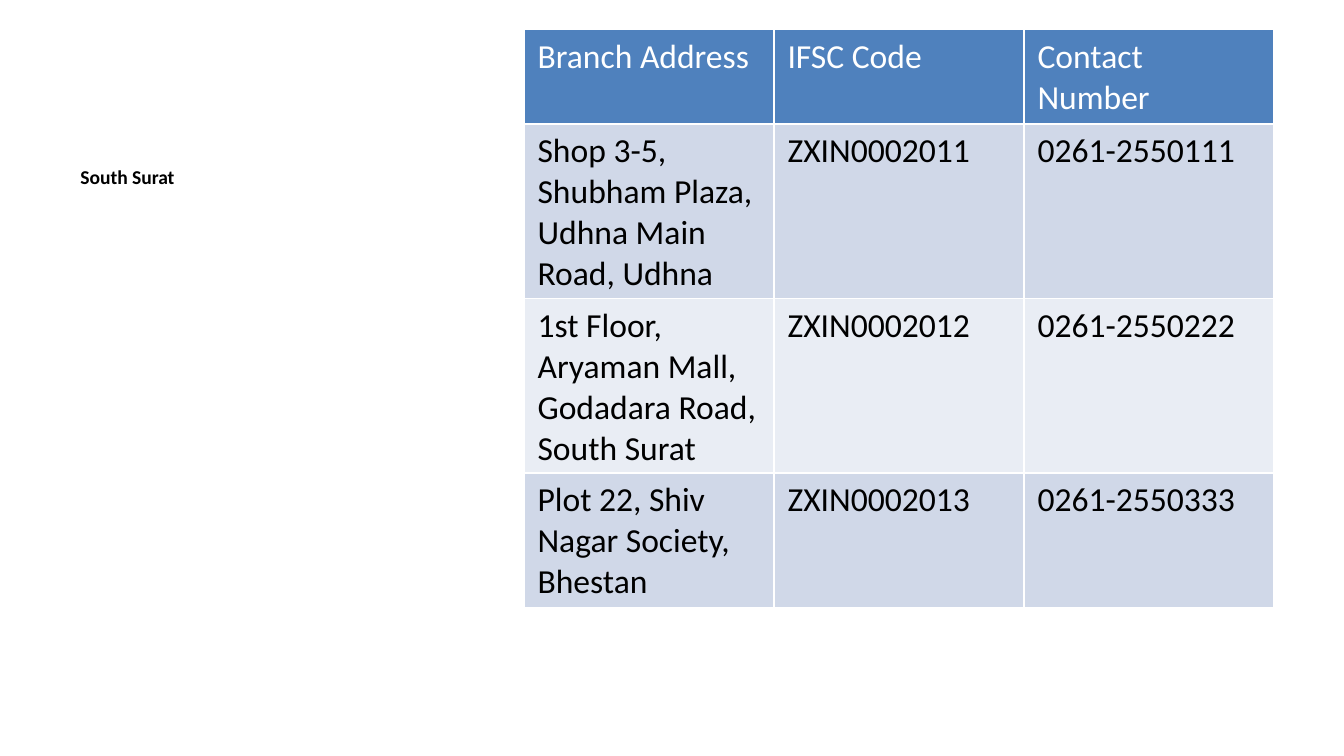
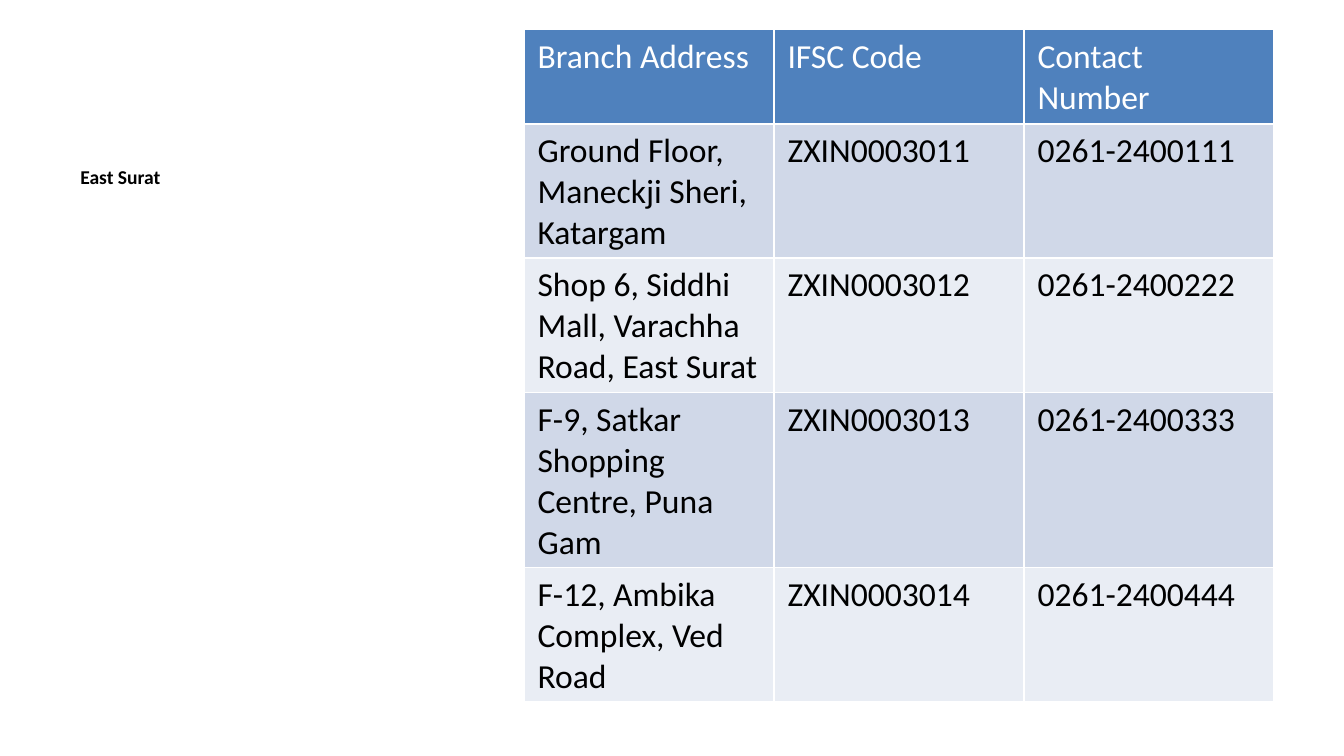
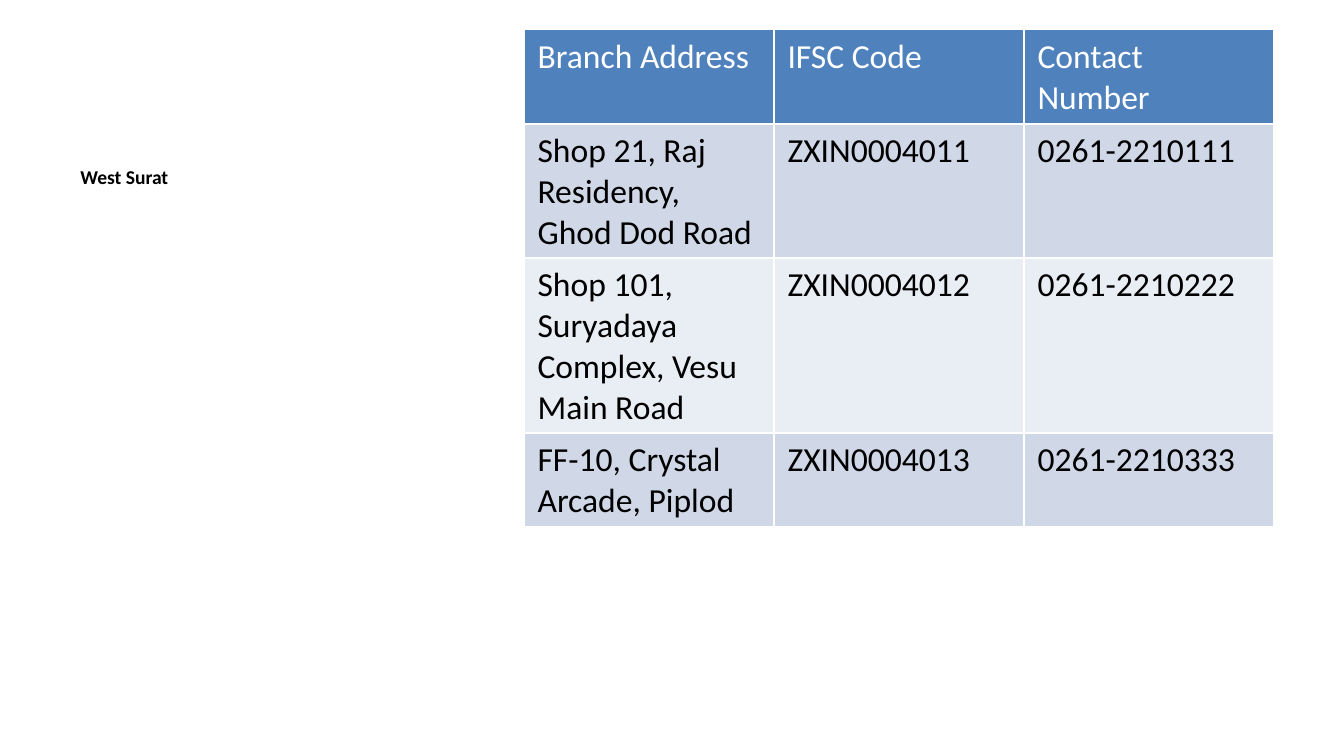
import pptx
import pptx.dml.color
import pptx.util

Inches = pptx.util.Inches

FONT = "Calibri"
WHITE = "FFFFFF"
BLACK = "000000"
HEADER_FILL = "4F81BD"
BAND_FILLS = ("D0D8E8", "E9EDF4")
HEADINGS = ("Branch Address", "IFSC Code", "Contact Number")

# Left, top, width, height in inches
REGION_BOX = (0.5, 1.18, 3.29, 3.85)
TABLE_BOX = (3.9, 0.22, 5.58, 4.79)

# Each region with its branches: address, code, phone
REGIONS = {
    "South Surat": [
        ("Shop 3-5, Shubham Plaza, Udhna Main Road, Udhna", "ZXIN0002011", "0261-2550111"),
        ("1st Floor, Aryaman Mall, Godadara Road, South Surat", "ZXIN0002012", "0261-2550222"),
        ("Plot 22, Shiv Nagar Society, Bhestan", "ZXIN0002013", "0261-2550333"),
    ],
    "East Surat": [
        ("Ground Floor, Maneckji Sheri, Katargam", "ZXIN0003011", "0261-2400111"),
        ("Shop 6, Siddhi Mall, Varachha Road, East Surat", "ZXIN0003012", "0261-2400222"),
        ("F-9, Satkar Shopping Centre, Puna Gam", "ZXIN0003013", "0261-2400333"),
        ("F-12, Ambika Complex, Ved Road", "ZXIN0003014", "0261-2400444"),
    ],
    "West Surat": [
        ("Shop 21, Raj Residency, Ghod Dod Road", "ZXIN0004011", "0261-2210111"),
        ("Shop 101, Suryadaya Complex, Vesu Main Road", "ZXIN0004012", "0261-2210222"),
        ("FF-10, Crystal Arcade, Piplod", "ZXIN0004013", "0261-2210333"),
    ],
}


def color(value):
    return pptx.dml.color.RGBColor.from_string(value)


def write_text(frame, text, size=18, ink=BLACK, bold=False):
    frame.word_wrap = True
    span = frame.paragraphs[0].add_run()
    span.text = text
    span.font.name = FONT
    span.font.size = pptx.util.Pt(size)
    span.font.bold = bold
    span.font.color.rgb = color(ink)


def add_region_label(page, region, box):
    label = page.shapes.add_textbox(*map(Inches, box))
    write_text(label.text_frame, region, size=10.5, bold=True)


def add_branch_table(page, branches, box):
    left, top, width, height = map(Inches, box)
    rows = [HEADINGS, *branches]
    # The default table style supplies the white rules between cells
    holder = page.shapes.add_table(len(rows), len(HEADINGS), left, top, width, height)
    table = holder.table

    for row_index, values in enumerate(rows):
        # Rows grow to fit their text
        table.rows[row_index].height = 0
        is_header = row_index == 0
        fill = HEADER_FILL if is_header else BAND_FILLS[(row_index - 1) % 2]
        for column_index, text in enumerate(values):
            cell = table.cell(row_index, column_index)
            cell.fill.solid()
            cell.fill.fore_color.rgb = color(fill)
            write_text(cell.text_frame, text, ink=WHITE if is_header else BLACK)
    holder.height = height


def add_region_page(deck, region, branches):
    page = deck.slides.add_slide(deck.slide_layouts[6])
    page.background.fill.solid()
    page.background.fill.fore_color.rgb = color(WHITE)
    add_region_label(page, region, REGION_BOX)
    add_branch_table(page, branches, TABLE_BOX)


def main():
    deck = pptx.Presentation()
    # Widescreen, 16 by 9
    deck.slide_width = Inches(10)
    deck.slide_height = deck.slide_width * 9 // 16
    for region, branches in REGIONS.items():
        add_region_page(deck, region, branches)
    deck.save("out.pptx")


if __name__ == "__main__":
    main()
